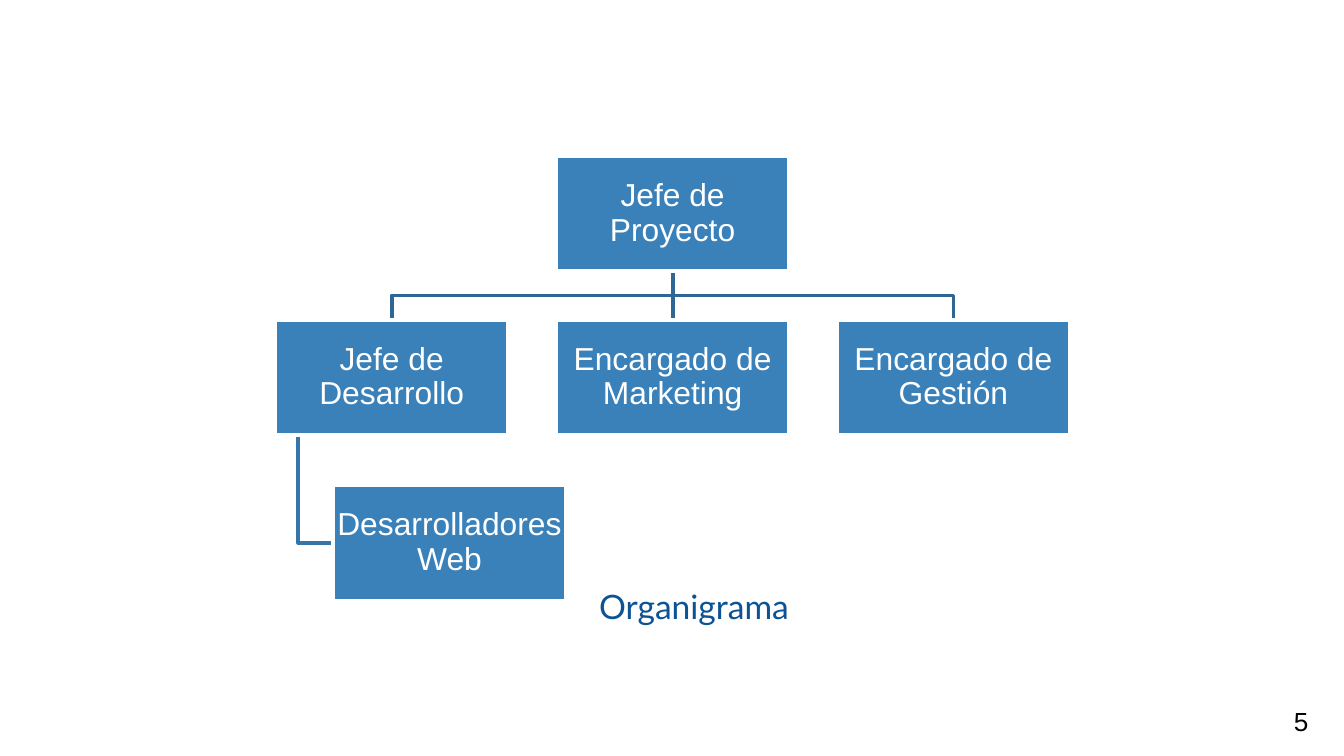
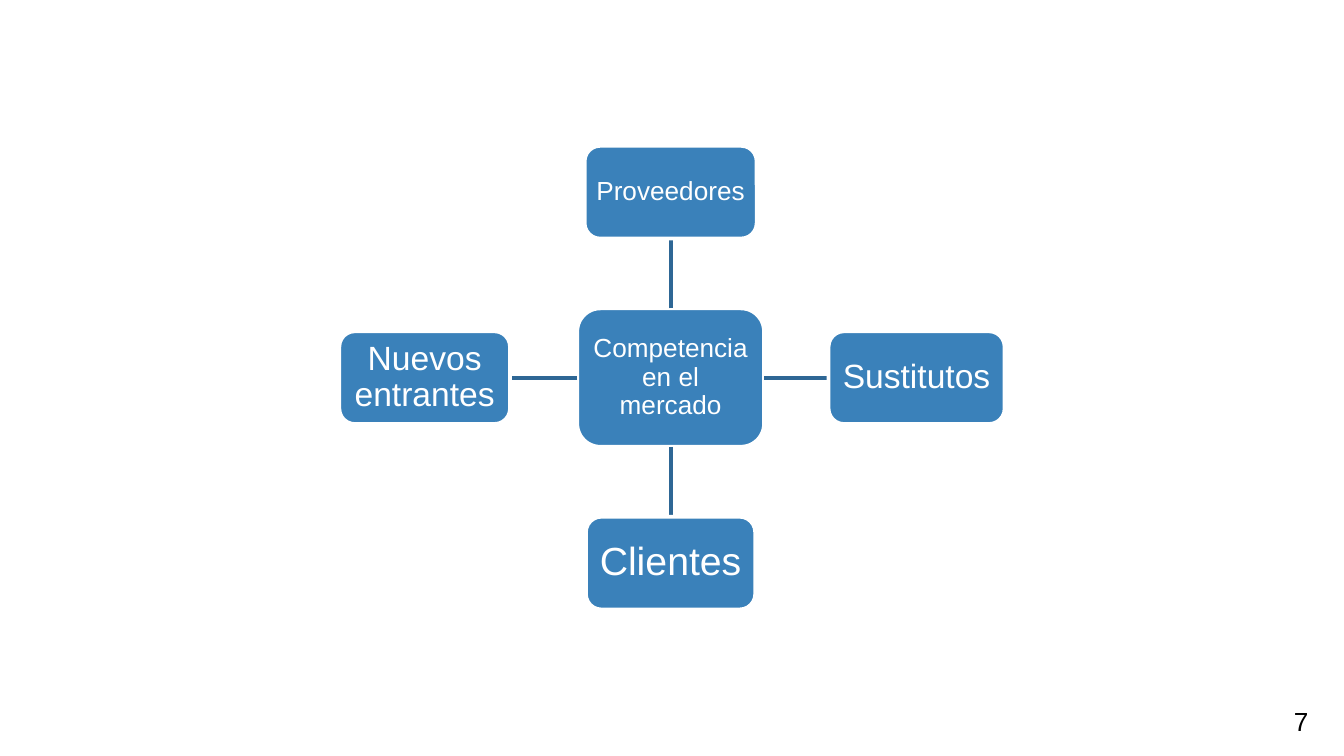
from pptx import Presentation
from pptx.dml.color import RGBColor
from pptx.enum.shapes import MSO_CONNECTOR, MSO_SHAPE
from pptx.enum.text import MSO_ANCHOR, MSO_AUTO_SIZE, PP_ALIGN
from pptx.oxml.ns import qn
from pptx.util import Inches, Pt
from lxml.etree import SubElement

BOX_BLUE = RGBColor(0x3A, 0x81, 0xBA)
LINK_BLUE = RGBColor(0x2E, 0x67, 0x95)
BRANCH_BLUE = RGBColor(0x35, 0x75, 0xA9)
TITLE_BLUE = RGBColor(0x0B, 0x53, 0x94)
WHITE = RGBColor(0xFF, 0xFF, 0xFF)
BLACK = RGBColor(0, 0, 0)
BODY_FONT = "Arial"
TITLE_FONT = "Lato"
LINE_WIDTH = Pt(2)

CHART_TITLE = "Organigrama"
CHIEF = "Jefe de Proyecto"
MANAGERS = ["Jefe de Desarrollo", "Encargado de Marketing", "Encargado de Gestión"]
TEAM = "Desarrolladores Web"
CHART_LEFT = 2.05
ROW_TOPS = (1.16, 2.38, 3.61)
ROLE_WIDTH, ROLE_HEIGHT = 1.73, 0.86
COLUMN_STEP = 2.09
TEAM_INDENT, BRANCH_INDENT = 0.43, 0.17

MARKET = "Competencia en el mercado"
MARKET_CENTER = (4.99, 2.81)
MARKET_WIDTH, MARKET_HEIGHT = 1.39, 1.03
FORCE_HEIGHT = 0.69
FORCE_REACH = (1.83, 1.38)
FORCES = [
    ("Proveedores", (0, -1), 1.28, 14, 0.04),
    ("Sustitutos", (1, 0), 1.31, 18, 0.05),
    ("Clientes", (0, 1), 1.26, 21, 0.06),
    ("Nuevos entrantes", (-1, 0), 1.27, 18, 0.05),
]


def set_text(shape, text, size, color, font=BODY_FONT, align=PP_ALIGN.CENTER,
             anchor=MSO_ANCHOR.MIDDLE, inset=0.1, spacing=None):
    frame = shape.text_frame
    frame.word_wrap = True
    frame.auto_size = MSO_AUTO_SIZE.NONE
    frame.vertical_anchor = anchor
    frame.margin_left = frame.margin_right = Inches(inset)
    frame.margin_top = frame.margin_bottom = Inches(inset)
    paragraph = frame.paragraphs[0]
    paragraph.text = text
    paragraph.alignment = align
    paragraph.line_spacing = spacing
    paragraph.font.name = font
    paragraph.font.size = Pt(size)
    paragraph.font.color.rgb = color
    return paragraph


def add_box(slide, kind, text, left, top, width, height, size, inset):
    box = slide.shapes.add_shape(
        kind, Inches(left), Inches(top), Inches(width), Inches(height))
    box.shadow.inherit = False
    box.fill.solid()
    box.fill.fore_color.rgb = BOX_BLUE
    box.line.color.rgb = WHITE
    box.line.width = LINE_WIDTH
    set_text(box, text, size, WHITE, inset=inset, spacing=0.9)


def add_straight(slide, start, end):
    connector = slide.shapes.add_connector(
        MSO_CONNECTOR.STRAIGHT, *(Inches(value) for value in (*start, *end)))
    connector.line.color.rgb = LINK_BLUE
    connector.line.width = LINE_WIDTH
    SubElement(connector._element.spPr, qn("a:effectLst"))


def add_elbow(slide, points, color):
    first, *rest = [(Inches(x), Inches(y)) for x, y in points]
    builder = slide.shapes.build_freeform(*first)
    builder.add_line_segments(rest, close=False)
    elbow = builder.convert_to_shape()
    elbow.shadow.inherit = False
    elbow.fill.background()
    elbow.line.color.rgb = color
    elbow.line.width = LINE_WIDTH


def add_page_number(slide, number):
    box = slide.shapes.add_textbox(
        Inches(9.53), Inches(5.11), Inches(0.47), Inches(0.51))
    set_text(box, str(number), 14, BLACK, align=PP_ALIGN.LEFT)


def build_organization(presentation):
    slide = presentation.slides.add_slide(presentation.slide_layouts[5])
    title = slide.shapes.title
    title.left, title.top = Inches(1.01), Inches(4.24)
    title.width, title.height = Inches(8.31), Inches(0.57)
    paragraph = set_text(title, CHART_TITLE, 18, TITLE_BLUE, TITLE_FONT,
                         anchor=MSO_ANCHOR.TOP, spacing=1.06)
    paragraph.space_before = Pt(3.6)
    add_page_number(slide, 5)

    columns = [CHART_LEFT + index * COLUMN_STEP for index in range(len(MANAGERS))]
    chief_top, manager_top, team_top = ROW_TOPS
    chief_x = columns[1] + ROLE_WIDTH / 2
    chief_bottom = chief_top + ROLE_HEIGHT
    middle = (chief_bottom + manager_top) / 2
    for left in columns:
        x = left + ROLE_WIDTH / 2
        if left == columns[1]:
            add_straight(slide, (x, chief_bottom), (x, manager_top))
        else:
            add_elbow(slide, [(chief_x, chief_bottom), (chief_x, middle),
                              (x, middle), (x, manager_top)], LINK_BLUE)
    branch_x = CHART_LEFT + BRANCH_INDENT
    team_left = CHART_LEFT + TEAM_INDENT
    team_y = team_top + ROLE_HEIGHT / 2
    add_elbow(slide, [(branch_x, manager_top + ROLE_HEIGHT), (branch_x, team_y),
                      (team_left, team_y)], BRANCH_BLUE)

    roles = [(CHIEF, columns[1], chief_top), (TEAM, team_left, team_top)]
    roles += [(name, left, manager_top) for name, left in zip(MANAGERS, columns)]
    for name, left, top in roles:
        add_box(slide, MSO_SHAPE.RECTANGLE, name, left, top,
                ROLE_WIDTH, ROLE_HEIGHT, 17, 0.01)


def build_market(presentation):
    slide = presentation.slides.add_slide(presentation.slide_layouts[6])
    add_page_number(slide, 7)
    center_x, center_y = MARKET_CENTER
    add_box(slide, MSO_SHAPE.ROUNDED_RECTANGLE, MARKET,
            center_x - MARKET_WIDTH / 2, center_y - MARKET_HEIGHT / 2,
            MARKET_WIDTH, MARKET_HEIGHT, 14, 0.04)

    for name, (dx, dy), width, size, inset in FORCES:
        x = center_x + dx * FORCE_REACH[0]
        y = center_y + dy * FORCE_REACH[1]
        add_straight(
            slide,
            (center_x + dx * MARKET_WIDTH / 2, center_y + dy * MARKET_HEIGHT / 2),
            (x - dx * width / 2, y - dy * FORCE_HEIGHT / 2))
        add_box(slide, MSO_SHAPE.ROUNDED_RECTANGLE, name, x - width / 2,
                y - FORCE_HEIGHT / 2, width, FORCE_HEIGHT, size, inset)


def main():
    presentation = Presentation()
    presentation.slide_width = Inches(10)
    presentation.slide_height = presentation.slide_width * 9 // 16
    build_organization(presentation)
    build_market(presentation)
    presentation.save("out.pptx")


if __name__ == "__main__":
    main()
